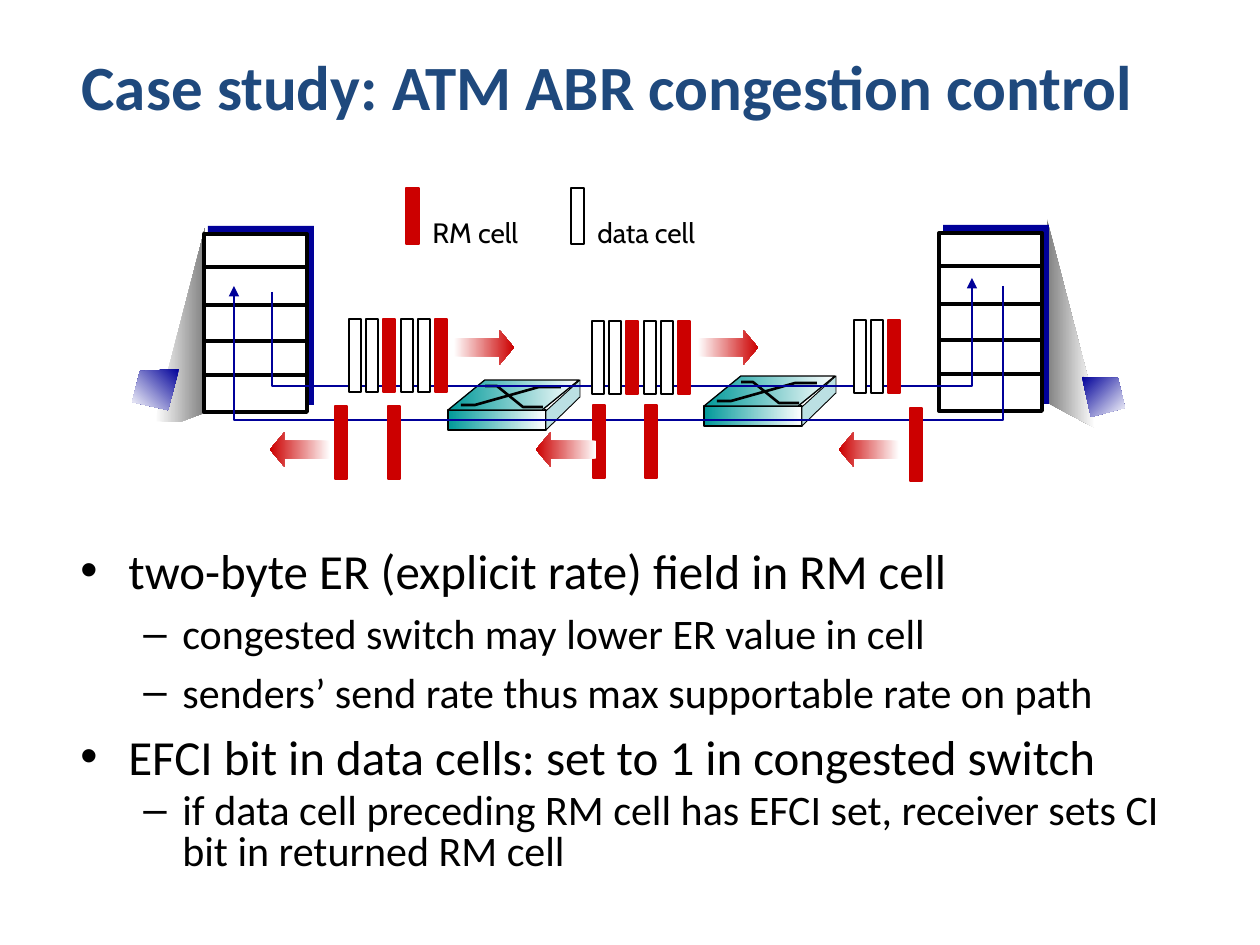
from pptx import Presentation
from pptx.dml.color import RGBColor
from pptx.enum.shapes import MSO_CONNECTOR, MSO_SHAPE
from pptx.enum.text import MSO_ANCHOR, MSO_AUTO_SIZE, PP_ALIGN
from pptx.oxml.ns import qn
from pptx.util import Emu, Inches, Pt
from lxml.etree import SubElement

PX = Inches(1) / 126
BLACK, WHITE, RED, NAVY, TEAL, GRAY = "000000", "FFFFFF", "CC0000", "000099", "009999", "808080"
rgb = RGBColor.from_string

prs = Presentation()
prs.slide_width, prs.slide_height = Inches(10), Inches(7.5)
slide = prs.slides.add_slide(prs.slide_layouts[5])
shapes = slide.shapes


def paint(s, fill=None, line=None, width=0.75, angle=0):
    """Fill with one colour, a (start, end) gradient or nothing, and set the outline."""
    s.shadow.inherit = False
    if fill is None:
        s.fill.background()
    elif isinstance(fill, tuple):
        s.fill.gradient()
        s.fill.gradient_angle = angle
        for stop, color in zip(s.fill.gradient_stops, fill):
            stop.color.rgb = rgb(color)
    else:
        s.fill.solid()
        s.fill.fore_color.rgb = rgb(fill)
    if line:
        s.line.color.rgb = rgb(line)
        s.line.width = Pt(width)
    else:
        s.line.fill.background()
    return s


def add(kind, *box):
    """Add a preset shape at a px box, or an outline through px points."""
    if kind in ("open", "closed"):
        builder = shapes.build_freeform(*box[0], scale=PX)
        builder.add_line_segments(box[1:], close=kind == "closed")
        return builder.convert_to_shape()
    return shapes.add_shape(kind, *[Emu(round(v * PX)) for v in box])


# Title
s = shapes.title
s.left, s.top, s.width, s.height = [Emu(round(v * PX)) for v in (57, 20, 1101, 131)]
tf = s.text_frame
tf.word_wrap = True
tf.vertical_anchor = MSO_ANCHOR.MIDDLE
p = tf.paragraphs[0]
p.alignment = PP_ALIGN.CENTER
r = p.add_run()
r.text = "Case study: ATM ABR congestion control"
r.font.name, r.font.size, r.font.bold = "Calibri", Pt(36), True
r.font.color.rgb = rgb("1F497D")

# Bullets: level, text, line spacing
bullets = [
    (0, "two-byte ER (explicit rate) field in RM cell", 1.0),
    (1, "congested switch may lower ER value in cell", 1.0),
    (1, "senders’ send rate thus max supportable rate on path", 1.0),
    (0, "EFCI bit in data cells: set to 1 in congested switch", 1.0),
    (1, "if data cell preceding RM cell has EFCI set, receiver sets CI bit in returned RM cell", 0.8),
]
levels = [("•", 48, 48, 28), ("–", 102, 39, 24)]  # mark, margin, hanging, size
tf = shapes.add_textbox(*[Emu(round(v * PX)) for v in (68, 534, 1109, 344)]).text_frame
tf.word_wrap = True
for i, (level, text, spacing) in enumerate(bullets):
    mark, margin, hanging, size = levels[level]
    p = tf.paragraphs[0] if i == 0 else tf.add_paragraph()
    p.level = level
    p.line_spacing = spacing
    p.space_before = Pt(size * 0.2 if i else 0)
    pPr = p._p.get_or_add_pPr()
    pPr.set("marL", str(round(margin * PX)))
    pPr.set("indent", str(round(-hanging * PX)))
    SubElement(pPr, qn("a:buFont"), typeface="Arial")
    SubElement(pPr, qn("a:buChar"), char=mark)
    r = p.add_run()
    r.text = text
    r.font.name, r.font.size = "Calibri", Pt(size)
    r.font.color.rgb = rgb(BLACK)

# Switches
for x, y in [(704, 376), (448, 380)]:
    paint(add(MSO_SHAPE.RECTANGLE, x, y + 30, 98, 20), (TEAL, WHITE), BLACK)
    s = paint(add(MSO_SHAPE.PARALLELOGRAM, x, y, 131, 30), (TEAL, WHITE), BLACK)
    s.adjustments[0] = 1.228
    side = [(x + 98, y + 31), (x + 98, y + 50), (x + 132, y + 17), (x + 132, y)]
    paint(add("closed", *side), "BBE0E3", BLACK, 0.5)
    rising = [(x + 13, y + 25), (x + 27, y + 25), (x + 91, y + 7), (x + 113, y + 7)]
    falling = [(x + 37, y + 6), (x + 49, y + 6), (x + 75, y + 27), (x + 95, y + 27)]
    for trace in (rising, falling):
        paint(add("open", *trace), None, BLACK, 1.5)

# End hosts: protocol stack with its projection
left_beam = [(155, 421), (205, 228), (204, 413), (180, 422)]
right_beam = [(1090, 386), (1047, 219), (1048, 403), (1095, 428)]
for x, y, beam, fill in [(204, 234, left_beam, (WHITE, GRAY)),
                         (939, 233, right_beam, (GRAY, WHITE))]:
    paint(add("closed", *beam), fill)
    paint(add(MSO_SHAPE.RECTANGLE, x + 4, y - 8, 106, 179), NAVY)
    paint(add(MSO_SHAPE.RECTANGLE, x, y, 103, 178), WHITE, BLACK, 2.25)
    for dy in (33, 71, 107, 141):
        ends = [Emu(round(v * PX)) for v in (x, y + dy, x + 103, y + dy)]
        c = shapes.add_connector(MSO_CONNECTOR.STRAIGHT, *ends)
        c.line.color.rgb = rgb(BLACK)
        c.line.width = Pt(2.25)
        SubElement(c._element.spPr, qn("a:effectLst"))

# Forward and return routes
for route in ([(272, 292), (272, 386), (972, 386), (972, 278)],
              [(1003, 286), (1003, 420), (234, 420), (234, 286)]):
    s = paint(add("open", *route), None, NAVY, 1.5)
    SubElement(s.line._get_or_add_ln(), qn("a:tailEnd"), type="triangle")

# Forward cells: two data cells, then one RM cell
for x, y in [(349, 319), (401, 319), (592, 321), (644, 321), (854, 320)]:
    for i, (fill, line) in enumerate([(WHITE, BLACK), (WHITE, BLACK), (RED, RED)]):
        paint(add(MSO_SHAPE.RECTANGLE, x + 17 * i, y, 12, 73), fill, line)

# Returning RM cells
for x, y in [(910, 408), (593, 405), (645, 405), (335, 406), (388, 406)]:
    paint(add(MSO_SHAPE.RECTANGLE, x, y, 12, 73), RED, RED)

# Direction arrows
for x, y, turn in [(454, 330, 0), (698, 330, 0), (270, 432, 180), (536, 432, 180), (839, 432, 180)]:
    s = paint(add(MSO_SHAPE.RIGHT_ARROW, x, y, 60, 35), (WHITE, RED))
    s.adjustments[1] = 0.418
    s.rotation = turn

# Legend
for x, text, width, fill, line in [(406, "RM cell", 113, RED, RED),
                                   (571, "data cell", 129, WHITE, BLACK)]:
    paint(add(MSO_SHAPE.RECTANGLE, x, 188, 13, 56), fill, line)
    tf = shapes.add_textbox(*[Emu(round(v * PX)) for v in (x + 14, 209, width, 47)]).text_frame
    tf.word_wrap = False
    tf.auto_size = MSO_AUTO_SIZE.SHAPE_TO_FIT_TEXT
    r = tf.paragraphs[0].add_run()
    r.text = text
    r.font.name, r.font.size = "Cabin", Pt(16)
    r.font.color.rgb = rgb(BLACK)

# Host screens
paint(add("closed", (179, 369), (140, 371), (132, 402), (168, 410)), (NAVY, WHITE), angle=225)
paint(add("closed", (1082, 377), (1118, 378), (1125, 408), (1091, 417)), (NAVY, WHITE), angle=315)

prs.save("out.pptx")
